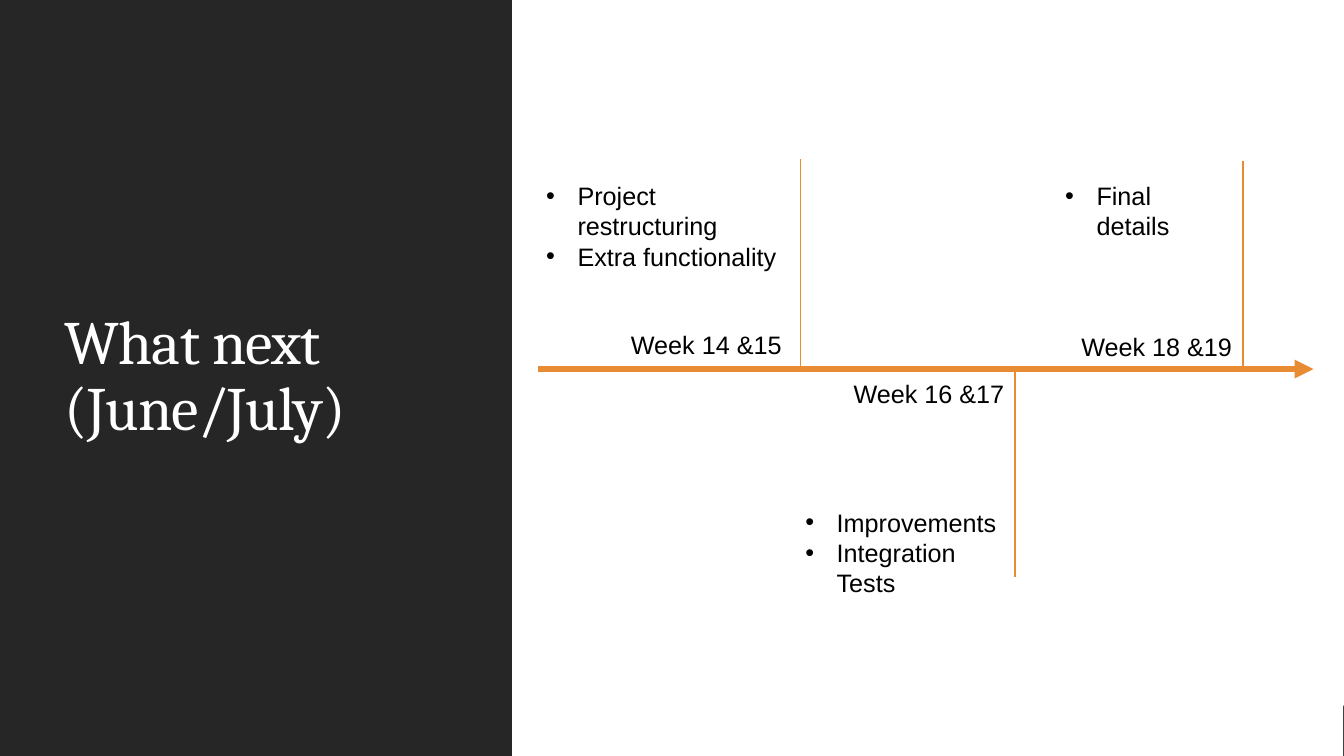
from typing import NamedTuple

from lxml import etree
from pptx import Presentation
from pptx import util as u
from pptx.dml.color import RGBColor
from pptx.enum import shapes, text
from pptx.oxml import ns

CHARCOAL = RGBColor(0x26, 0x26, 0x26)
WHITE = RGBColor(0xFF, 0xFF, 0xFF)
BLACK = RGBColor(0x00, 0x00, 0x00)
ORANGE = RGBColor(0xE8, 0x8B, 0x33)

SLIDE_WIDTH, SLIDE_HEIGHT = 33.87, 19.05
AXIS_Y = 9.3
TICK_WIDTH = 1
LABEL_WIDTH, LABEL_HEIGHT = 4.32, 1.02
TASKS_HEIGHT = 1.8
BULLET_INDENT = 0.79
COMPARISON_LAYOUT = 4
UNUSED_HEADING = 3


class Box(NamedTuple):
    left: float
    top: float
    width: float
    height: float


class Panel(NamedTuple):
    box: Box
    color: RGBColor


class Milestone(NamedTuple):
    week: str
    label_left: float
    label_top: float
    tick_x: float
    tick_end: float
    tasks: list[str]
    tasks_box: Box
    placeholder: int


PANELS = [
    Panel(Box(0, 17.78, SLIDE_WIDTH, 1.27), CHARCOAL),
    Panel(Box(0, 0, SLIDE_WIDTH - 0.02, SLIDE_HEIGHT), WHITE),
    Panel(Box(0, 0, 12.9, SLIDE_HEIGHT), CHARCOAL),
]
MILESTONES = [
    Milestone("Week 14 &15", 15.65, 8.18, 20.17, 4.01,
              ["Project restructuring", "Extra functionality"],
              Box(13.51, 4.42, 6.63, TASKS_HEIGHT), 1),
    Milestone("Week 16 &17", 21.26, 9.4, 25.58, 14.53,
              ["Improvements", "Integration Tests"],
              Box(20.04, 12.65, 5.61, TASKS_HEIGHT), 2),
    Milestone("Week 18 &19", 27, 8.23, 31.32, 4.06,
              ["Final details"],
              Box(26.59, 4.42, 4.37, TASKS_HEIGHT), 4),
]


def place(shape, box: Box) -> None:
    shape.left, shape.top, shape.width, shape.height = map(u.Cm, box)


def style_runs(paragraph, font: str, size: float, color: RGBColor) -> None:
    for run in paragraph.runs:
        run.font.name = font
        run.font.size = u.Pt(size)
        run.font.bold = False
        run.font.color.rgb = color


def draw_panel(slide, panel: Panel) -> None:
    rectangle = slide.shapes.add_shape(
        shapes.MSO_SHAPE.RECTANGLE, *map(u.Cm, panel.box))
    rectangle.shadow.inherit = False
    rectangle.fill.solid()
    rectangle.fill.fore_color.rgb = panel.color
    rectangle.line.fill.background()
    slide.shapes.title.element.addprevious(rectangle.element)


def draw_line(slide, start: tuple[float, float], end: tuple[float, float],
              width: float, arrow: bool = False) -> None:
    line = slide.shapes.add_connector(
        shapes.MSO_CONNECTOR.STRAIGHT, *map(u.Cm, start + end))
    line.line.color.rgb = ORANGE
    line.line.width = u.Pt(width)
    properties = line.element.spPr
    if arrow:
        outline = properties.find(ns.qn("a:ln"))
        etree.SubElement(outline, ns.qn("a:tailEnd"), type="triangle")
    etree.SubElement(properties, ns.qn("a:effectLst"))


def write_title(slide, wording: str) -> None:
    title = slide.shapes.title
    place(title, Box(1.37, 1.68, 10.11, 15.67))
    frame = title.text_frame
    frame.text = wording
    frame.auto_size = text.MSO_AUTO_SIZE.NONE
    frame.vertical_anchor = text.MSO_ANCHOR.MIDDLE
    paragraph = frame.paragraphs[0]
    paragraph.alignment = text.PP_ALIGN.LEFT
    paragraph.line_spacing = 0.9
    style_runs(paragraph, "Cambria", 44, WHITE)
    paragraph.runs[0].font._element.set("spc", "-50")


def write_tasks(slide, milestone: Milestone) -> None:
    tasks = slide.placeholders[milestone.placeholder]
    place(tasks, milestone.tasks_box)
    frame = tasks.text_frame
    frame.text = "\n".join(milestone.tasks)
    frame.word_wrap = True
    frame.auto_size = text.MSO_AUTO_SIZE.NONE
    frame.vertical_anchor = text.MSO_ANCHOR.TOP
    for paragraph in frame.paragraphs:
        paragraph.space_before = u.Pt(0)
        style_runs(paragraph, "Arial", 18, BLACK)
        properties = paragraph._p.get_or_add_pPr()
        properties.set("marL", str(u.Cm(BULLET_INDENT)))
        properties.set("indent", str(-u.Cm(BULLET_INDENT)))
        etree.SubElement(properties, ns.qn("a:buFont"), typeface="Arial")
        etree.SubElement(properties, ns.qn("a:buChar"), char="•")


def write_week(slide, milestone: Milestone) -> None:
    week = slide.shapes.add_textbox(*map(u.Cm, (
        milestone.label_left, milestone.label_top, LABEL_WIDTH, LABEL_HEIGHT)))
    week.text_frame.text = milestone.week
    week.text_frame.word_wrap = False
    style_runs(week.text_frame.paragraphs[0], "Arial", 18, BLACK)


def main() -> None:
    deck = Presentation()
    deck.slide_width, deck.slide_height = u.Cm(SLIDE_WIDTH), u.Cm(SLIDE_HEIGHT)
    slide = deck.slides.add_slide(deck.slide_layouts[COMPARISON_LAYOUT])
    spare = slide.placeholders[UNUSED_HEADING].element
    spare.getparent().remove(spare)

    for panel in PANELS:
        draw_panel(slide, panel)
    write_title(slide, "What next (June/July)")
    draw_line(slide, (13.56, AXIS_Y), (33.1, AXIS_Y), 4.5, arrow=True)
    for milestone in MILESTONES:
        write_week(slide, milestone)
        draw_line(slide, (milestone.tick_x, AXIS_Y),
                  (milestone.tick_x, milestone.tick_end), TICK_WIDTH)
        write_tasks(slide, milestone)
    deck.save("out.pptx")


if __name__ == "__main__":
    main()
